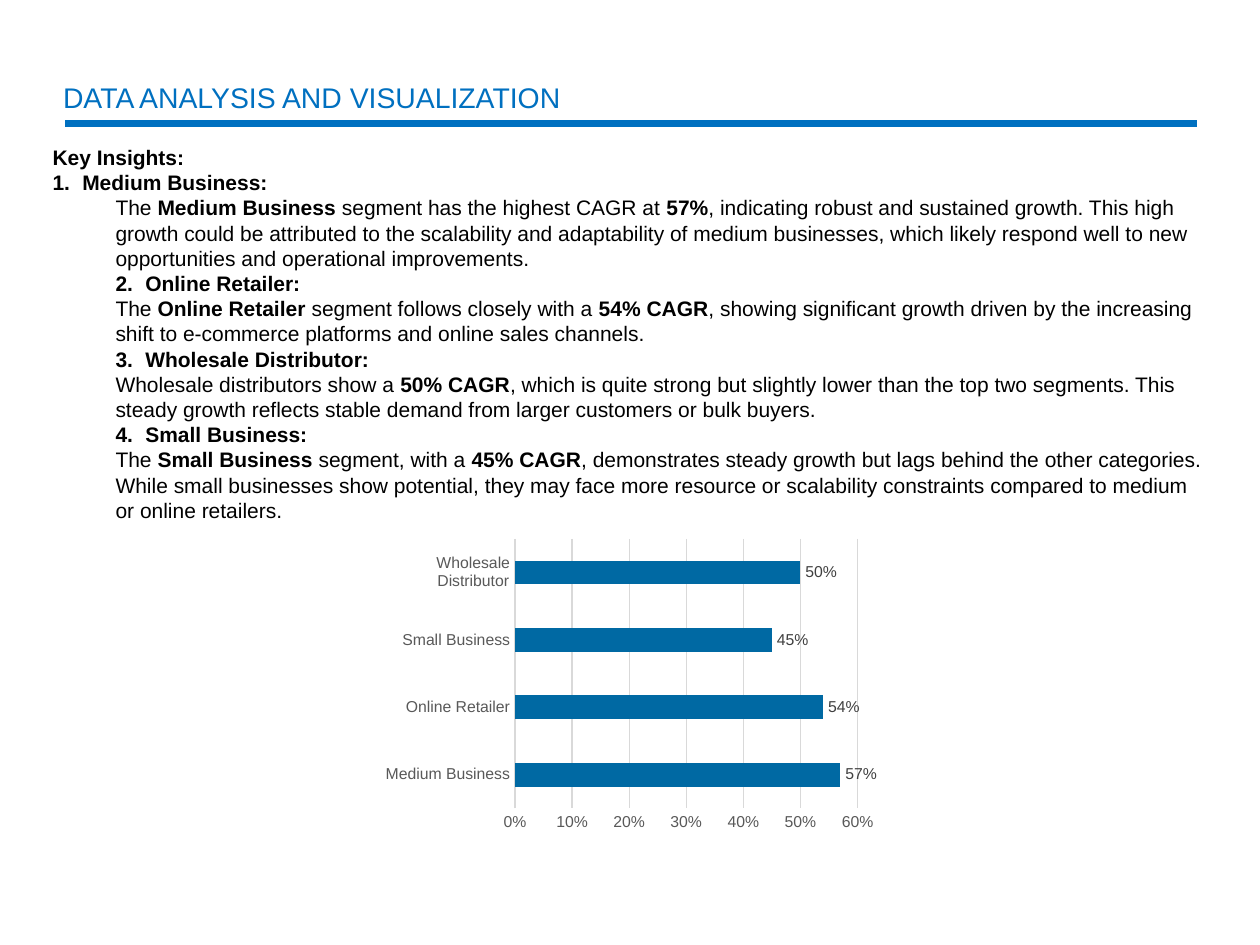
"""Build the data analysis slide with key insights and a CAGR bar chart."""
from dataclasses import dataclass
from typing import Any

from lxml import etree
from pptx import Presentation
from pptx import util as u
from pptx.chart import data as cd
from pptx.dml.color import RGBColor
from pptx.enum import chart as ch, shapes, text
from pptx.oxml import ns

BLUE = RGBColor(0x00, 0x70, 0xC0)
BAR = RGBColor(0x00, 0x69, 0xA3)
BLACK = RGBColor(0x00, 0x00, 0x00)
GRID = RGBColor(0xD9, 0xD9, 0xD9)
AXIS_TEXT = RGBColor(0x59, 0x59, 0x59)
LABEL_TEXT = RGBColor(0x40, 0x40, 0x40)
FONT = "Arial"
HANG = u.Cm(0.6)
INDENT = u.Cm(1.27)


@dataclass(frozen=True)
class Insight:
    heading: str
    body: tuple[tuple[str, bool], ...]


INSIGHTS = (
    Insight("Medium Business:", (
        ("The ", False), ("Medium Business", True),
        (" segment has the highest CAGR at ", False), ("57%", True),
        (", indicating robust and sustained growth. This high growth could be attributed to the "
         "scalability and adaptability of medium businesses, which likely respond well to new "
         "opportunities and operational improvements.", False))),
    Insight("Online Retailer:", (
        ("The ", False), ("Online Retailer", True),
        (" segment follows closely with a ", False), ("54% CAGR", True),
        (", showing significant growth driven by the increasing shift to e-commerce platforms "
         "and online sales channels.", False))),
    Insight("Wholesale Distributor:", (
        ("Wholesale distributors show a ", False), ("50% CAGR", True),
        (", which is quite strong but slightly lower than the top two segments. This steady "
         "growth reflects stable demand from larger customers or bulk buyers.", False))),
    Insight("Small Business:", (
        ("The ", False), ("Small Business", True),
        (" segment, with a ", False), ("45% CAGR", True),
        (", demonstrates steady growth but lags behind the other categories. While small "
         "businesses show potential, they may face more resource or scalability constraints "
         "compared to medium or online retailers.", False))),
)
CAGR = {"Medium Business": 0.57, "Online Retailer": 0.54,
        "Small Business": 0.45, "Wholesale Distributor": 0.5}


def set_all(obj: Any, values: dict[str, Any]) -> None:
    for name, value in values.items():
        setattr(obj, name, value)


def style_font(font: Any, size: float, color: RGBColor, bold: bool = False) -> None:
    set_all(font, {"name": FONT, "size": u.Pt(size), "bold": bold})
    font.color.rgb = color


def style_line(line: Any, color: RGBColor, width: float) -> None:
    line.color.rgb = color
    line.width = u.Pt(width)


def add_run(p: Any, words: str, bold: bool) -> None:
    r = p.add_run()
    r.text = words
    style_font(r.font, 12, BLACK, bold)


def set_indent(p: Any, left: int, first: int = 0) -> Any:
    ppr = p._p.get_or_add_pPr()
    ppr.set("marL", str(left))
    ppr.set("indent", str(first))
    return ppr


def number(p: Any, value: int, left: int) -> None:
    ppr = set_indent(p, left + HANG, -HANG)
    color = etree.SubElement(ppr, ns.qn("a:buClr"))
    etree.SubElement(color, ns.qn("a:srgbClr"), val=str(BLACK))
    etree.SubElement(ppr, ns.qn("a:buFont"), typeface=FONT)
    etree.SubElement(ppr, ns.qn("a:buAutoNum"), type="arabicPeriod", startAt=str(value))


def add_title(s: Any) -> None:
    sp = s.shapes.title
    set_all(sp, {"left": u.Cm(1.27), "top": u.Cm(1.63),
                 "width": u.Cm(22.86), "height": u.Cm(0.76)})
    tf = sp.text_frame
    set_all(tf, {"margin_left": 0, "margin_right": 0, "word_wrap": True,
                 "auto_size": text.MSO_AUTO_SIZE.NONE,
                 "vertical_anchor": text.MSO_ANCHOR.MIDDLE})
    p = tf.paragraphs[0]
    set_all(p, {"text": "DATA ANALYSIS AND VISUALIZATION",
                "alignment": text.PP_ALIGN.LEFT, "line_spacing": 0.9})
    style_font(p.runs[0].font, 16.2, BLUE)


def add_rule(s: Any) -> None:
    line = s.shapes.add_connector(shapes.MSO_CONNECTOR.STRAIGHT,
                                  u.Cm(1.32), u.Cm(2.49), u.Cm(24.13), u.Cm(2.49))
    style_line(line.line, BLUE, 4.5)
    etree.SubElement(line._element.spPr, ns.qn("a:effectLst"))


def add_insights(s: Any) -> None:
    sp = s.shapes.add_textbox(u.Cm(0.81), u.Cm(2.79), u.Cm(23.77), u.Cm(7.95))
    tf = sp.text_frame
    set_all(tf, {"word_wrap": True, "auto_size": text.MSO_AUTO_SIZE.SHAPE_TO_FIT_TEXT})
    add_run(tf.paragraphs[0], "Key Insights:", True)
    for i, insight in enumerate(INSIGHTS, 1):
        p = tf.add_paragraph()
        number(p, i, 0 if i == 1 else INDENT)
        add_run(p, insight.heading, True)
        p = tf.add_paragraph()
        p.level = 1
        set_indent(p, INDENT)
        for words, bold in insight.body:
            add_run(p, words, bold)


def add_cagr_chart(s: Any) -> None:
    data = cd.CategoryChartData(number_format="0%")
    data.categories = list(CAGR)
    data.add_series("Series 1", list(CAGR.values()))
    chart = s.shapes.add_chart(ch.XL_CHART_TYPE.BAR_CLUSTERED, u.Cm(7.57), u.Cm(10.74),
                               u.Cm(10.24), u.Cm(6.15), data).chart
    set_all(chart, {"has_legend": False, "has_title": False})
    style_font(chart.font, 10, BLACK)

    for axis in (chart.category_axis, chart.value_axis):
        set_all(axis, {"major_tick_mark": ch.XL_TICK_MARK.NONE,
                       "minor_tick_mark": ch.XL_TICK_MARK.NONE})
        style_font(axis.tick_labels.font, 9, AXIS_TEXT)
    style_line(chart.category_axis.format.line, GRID, 0.75)
    axis = chart.value_axis
    set_all(axis, {"minimum_scale": 0, "maximum_scale": 0.6, "major_unit": 0.1,
                   "has_major_gridlines": True})
    style_line(axis.major_gridlines.format.line, GRID, 0.75)
    axis.format.line.fill.background()

    plot = chart.plots[0]
    set_all(plot, {"gap_width": 182, "vary_by_categories": False})
    series = plot.series[0]
    series.format.fill.solid()
    series.format.fill.fore_color.rgb = BAR
    labels = series.data_labels
    set_all(labels, {"show_value": True, "position": ch.XL_LABEL_POSITION.OUTSIDE_END})
    style_font(labels.font, 9, LABEL_TEXT)
    for item in (axis.tick_labels, labels):
        set_all(item, {"number_format": "0%", "number_format_is_linked": False})


def main() -> None:
    prs = Presentation()
    set_all(prs, {"slide_width": u.Cm(25.4), "slide_height": u.Cm(19.05)})
    s = prs.slides.add_slide(prs.slide_layouts[5])
    add_rule(s)
    add_title(s)
    add_insights(s)
    add_cagr_chart(s)
    prs.save("out.pptx")


if __name__ == "__main__":
    main()
